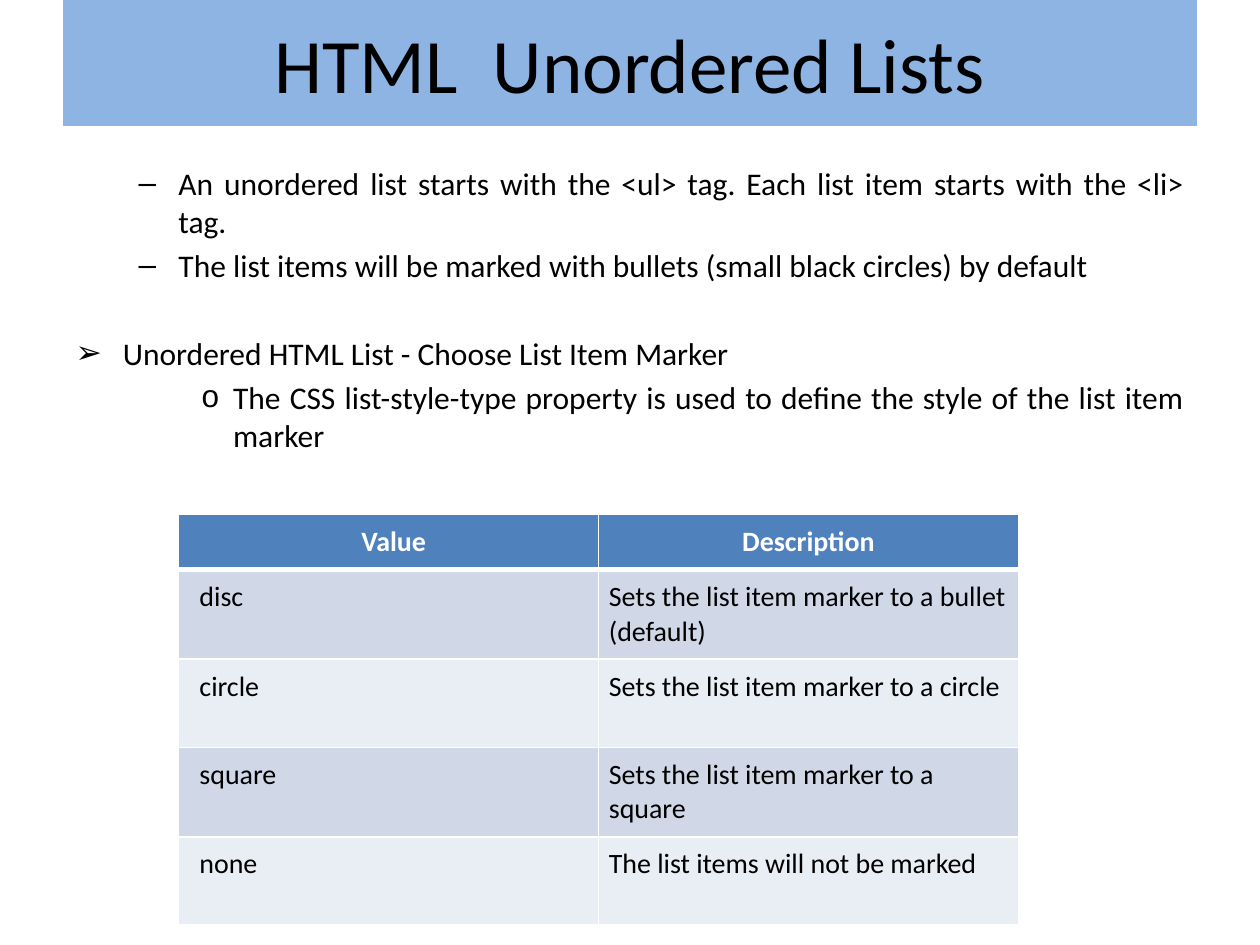
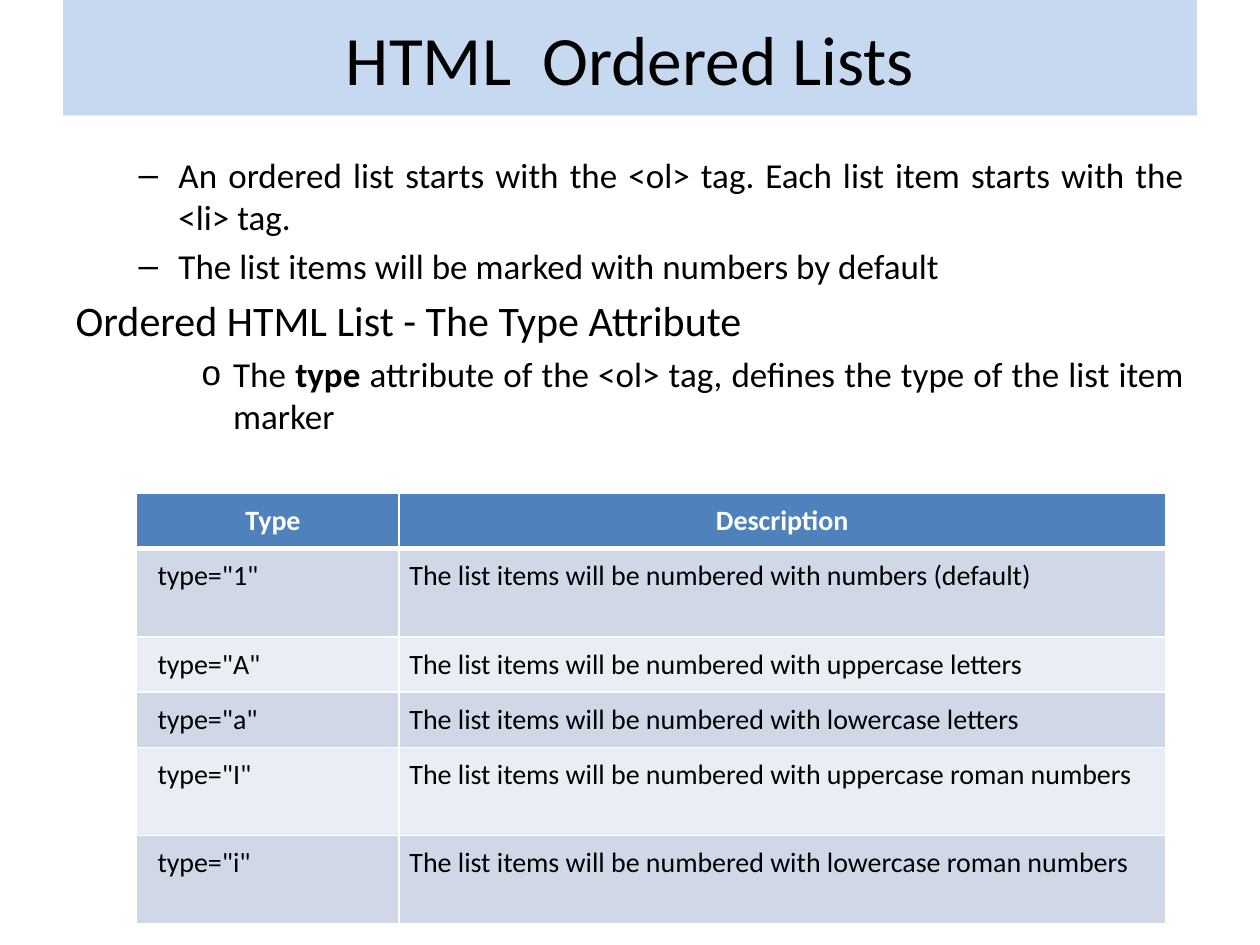
from lxml import etree
from pptx import Presentation
from pptx import util as u
from pptx.dml.color import RGBColor
from pptx.enum import text
from pptx.oxml import ns

PX = 7620
FONT = "Calibri"
BLACK = RGBColor(0x00, 0x00, 0x00)
WHITE = RGBColor(0xFF, 0xFF, 0xFF)
HEADER_BLUE = RGBColor(0x4F, 0x81, 0xBD)
ROW_FILLS = [RGBColor(0xD0, 0xD8, 0xE8), RGBColor(0xE9, 0xED, 0xF4)]
JUSTIFY = text.PP_ALIGN.JUSTIFY
CENTER = text.PP_ALIGN.CENTER
LEFT = text.PP_ALIGN.LEFT

STYLES = {
    "dash": {"level": 1, "margin": 98, "indent": -38, "bullet": "–", "alignment": JUSTIFY},
    "arrow": {"level": 0, "margin": 45, "indent": -45, "bullet": "➢", "alignment": JUSTIFY},
    "plain": {"level": 0, "margin": 0, "indent": 0, "bullet": None, "alignment": LEFT},
    "ring": {"level": 2, "margin": 150, "indent": -30, "bullet": "o", "alignment": JUSTIFY},
}

PAGES = [
    {
        "title": "HTML  Unordered Lists",
        "title_size": 44,
        "band": RGBColor(0x8E, 0xB4, 0xE3),
        "band_height": 120,
        "body_box": (60, 150, 1080, 710),
        "body": [
            ("dash", 18, 0, "An unordered list starts with the <ul> tag. Each list item starts with the <li> tag."),
            ("dash", 18, 3.6, "The list items will be marked with bullets (small black circles) by default"),
            ("arrow", 18, 28.8, "Unordered HTML List - Choose List Item Marker"),
            ("ring", 18, 3.6, "The CSS list-style-type property is used to define the style of the list item marker"),
        ],
        "table_at": (170, 490),
        "columns": [400, 400],
        "row_heights": [52, 84, 84, 84, 84],
        "rows": [
            ("Value", "Description"),
            ("disc", "Sets the list item marker to a bullet (default)"),
            ("circle", "Sets the list item marker to a circle"),
            ("square", "Sets the list item marker to a square"),
            ("none", "The list items will not be marked"),
        ],
    },
    {
        "title": "HTML  Ordered Lists",
        "title_size": 39.6,
        "band": RGBColor(0xC6, 0xD9, 0xF1),
        "band_height": 110,
        "body_box": (60, 140, 1080, 664),
        "body": [
            ("dash", 20, 0, "An ordered list starts with the <ol> tag. Each list item starts with the <li> tag."),
            ("dash", 20, 4, "The list items will be marked with numbers by default"),
            ("plain", 24, 4.8, "Ordered HTML List - The Type Attribute"),
            ("ring", 20, 4, "The |type| attribute of the <ol> tag, defines the type of the list item marker"),
        ],
        "table_at": (130, 470),
        "columns": [250, 730],
        "row_heights": [52, 84, 52, 52, 84, 84],
        "rows": [
            ("Type", "Description"),
            ('type="1"', "The list items will be numbered with numbers (default)"),
            ('type="A"', "The list items will be numbered with uppercase letters"),
            ('type="a"', "The list items will be numbered with lowercase letters"),
            ('type="I"', "The list items will be numbered with uppercase roman numbers"),
            ('type="i"', "The list items will be numbered with lowercase roman numbers"),
        ],
    },
]


def place(shape, left, top, width, height):
    for name, value in {"left": left, "top": top, "width": width, "height": height}.items():
        setattr(shape, name, value * PX)


def write(para, words, size, color, alignment, bold=False):
    para.alignment = alignment
    for index, part in enumerate(words.split("|")):
        span = para.add_run()
        span.text = part
        look = {"name": FONT, "size": u.Pt(size), "bold": bold or index % 2 == 1}
        for name, value in look.items():
            setattr(span.font, name, value)
        span.font.color.rgb = color


deck = Presentation()
deck.slide_width = 1200 * PX
deck.slide_height = 900 * PX

for content in PAGES:
    page = deck.slides.add_slide(deck.slide_layouts[1])

    title = page.shapes.title
    place(title, 60, 0, 1080, content["band_height"])
    title.fill.solid()
    title.fill.fore_color.rgb = content["band"]
    title.text_frame.auto_size = text.MSO_AUTO_SIZE.NONE
    title.text_frame.vertical_anchor = text.MSO_ANCHOR.MIDDLE
    write(title.text_frame.paragraphs[0], content["title"], content["title_size"], BLACK, CENTER)

    body = page.placeholders[1]
    place(body, *content["body_box"])
    frame = body.text_frame
    frame.auto_size = text.MSO_AUTO_SIZE.NONE
    for index, (style_name, size, gap, words) in enumerate(content["body"]):
        style = STYLES[style_name]
        para = frame.add_paragraph() if index else frame.paragraphs[0]
        para.level = style["level"]
        props = para._p.get_or_add_pPr()
        props.set("marL", str(style["margin"] * PX))
        props.set("indent", str(style["indent"] * PX))
        if style["bullet"]:
            etree.SubElement(props, ns.qn("a:buChar")).set("char", style["bullet"])
        else:
            etree.SubElement(props, ns.qn("a:buNone"))
        para.space_before = u.Pt(gap)
        write(para, words, size, BLACK, style["alignment"])

    columns, heights, rows = content["columns"], content["row_heights"], content["rows"]
    left, top = content["table_at"]
    table = page.shapes.add_table(
        len(rows), len(columns), left * PX, top * PX, sum(columns) * PX, sum(heights) * PX
    ).table
    for column, width in zip(table.columns, columns):
        column.width = width * PX
    for r, (row, height) in enumerate(zip(rows, heights)):
        table.rows[r].height = height * PX
        header = r == 0
        for c, words in enumerate(row):
            cell = table.cell(r, c)
            margins = {"left": 10 if c else 20, "top": 10, "right": 10, "bottom": 10}
            for side, value in margins.items():
                setattr(cell, f"margin_{side}", value * PX)
            cell_props = cell._tc.get_or_add_tcPr()
            for side in "LRTB":
                line = etree.SubElement(cell_props, ns.qn(f"a:ln{side}"))
                line.set("w", str(u.Pt(3 if header and side == "B" else 1)))
                fill = etree.SubElement(line, ns.qn("a:solidFill"))
                etree.SubElement(fill, ns.qn("a:srgbClr")).set("val", str(WHITE))
            cell.fill.solid()
            cell.fill.fore_color.rgb = HEADER_BLUE if header else ROW_FILLS[(r - 1) % 2]
            write(
                cell.text_frame.paragraphs[0], words, 16,
                WHITE if header else BLACK, CENTER if header else LEFT, header,
            )

deck.save("out.pptx")
